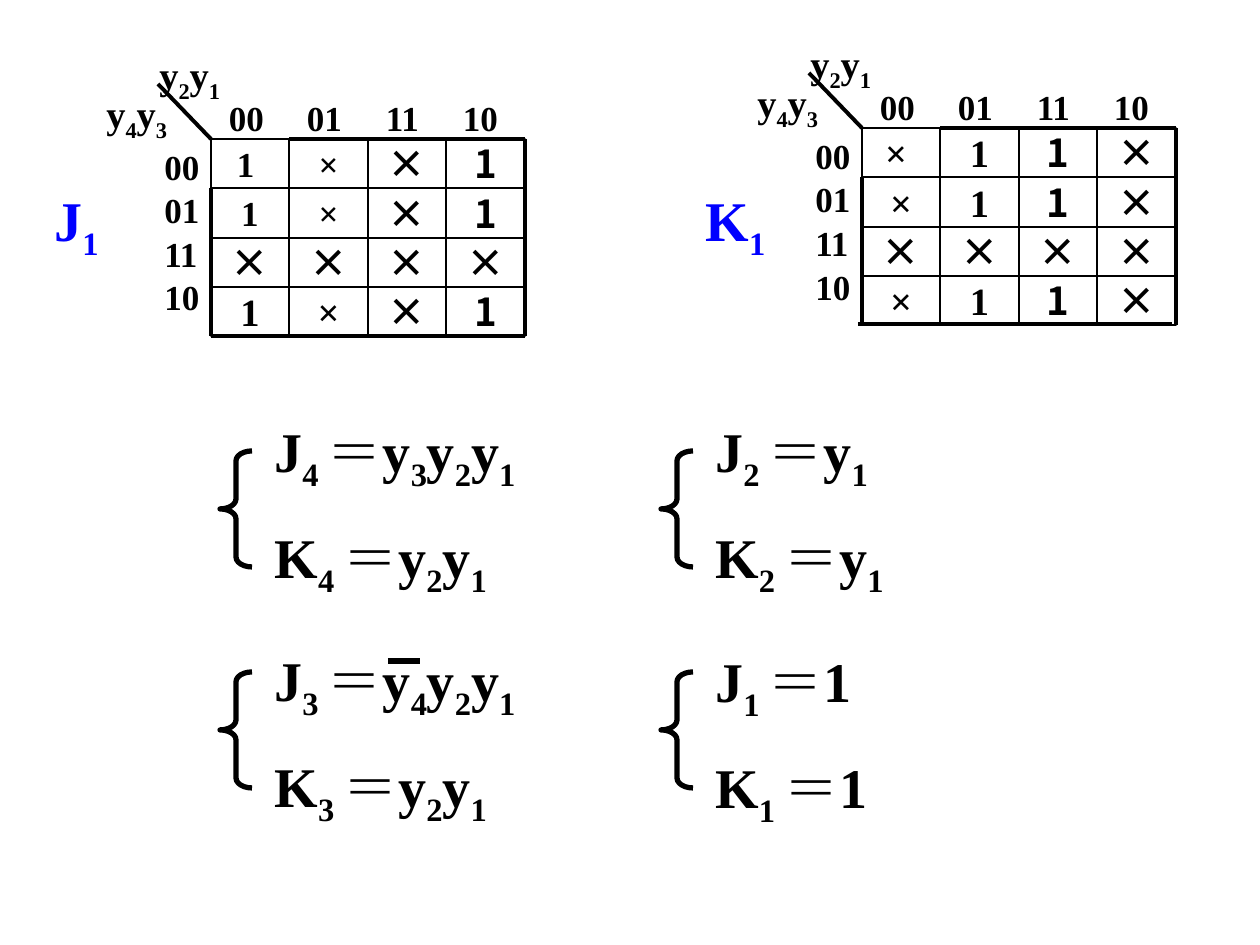
from lxml.etree import SubElement
from pptx import Presentation
from pptx.dml.color import RGBColor
from pptx.enum.shapes import MSO_CONNECTOR, MSO_SHAPE
from pptx.enum.text import MSO_ANCHOR, PP_ALIGN
from pptx.oxml.ns import qn
from pptx.util import Emu, Pt

PX = 914400 / 126
COLORS = {"ink": "000000", "label": "0000FF"}
SERIF, CJK = "Times New Roman", "Noto Sans CJK SC"
XS = [0, 78, 157, 235, 314]
YS = [0, 49, 99, 148, 197]
CODES = ["00", "01", "11", "10"]


def px(n):
    return Emu(round(n * PX))


def color(name):
    return RGBColor.from_string(COLORS[name])


def style_run(r, size, name="ink", font=SERIF):
    r.font.size = Pt(size)
    r.font.bold = True
    r.font.name = font
    r.font.color.rgb = color(name)
    SubElement(r._r.get_or_add_rPr(), qn("a:ea")).set("typeface", font)


def add_text(s, x, y, w, h):
    tf = s.shapes.add_textbox(px(x), px(y), px(w), px(h)).text_frame
    tf.word_wrap = True
    return tf


def add_run(p, text, size, name, subscript=False):
    if text:
        r = p.add_run()
        r.text = text
        style_run(r, size, name)
        if subscript:
            r._r.get_or_add_rPr().set("baseline", "-25000")


def add_formulas(s, x, y, w, h, formulas, size, name="ink"):
    tf = add_text(s, x, y, w, h)
    for i, formula in enumerate(formulas):
        p = tf.add_paragraph() if i else tf.paragraphs[0]
        if i:
            p.space_before = Pt(17)
        first, *rest = formula.split("_")
        add_run(p, first, size, name)
        for part in rest:
            n = 2 if part[1:2] == " " else 1
            add_run(p, part[:n], size, name, subscript=True)
            add_run(p, part[n:], size, name)


def add_line(s, x1, y1, x2, y2, width):
    c = s.shapes.add_connector(MSO_CONNECTOR.STRAIGHT, px(x1), px(y1), px(x2), px(y2))
    c.line.color.rgb = color("ink")
    c.line.width = Pt(width)
    SubElement(c._element.spPr, qn("a:effectLst"))


def add_outline(s, kind, x, y, w, h, width):
    sp = s.shapes.add_shape(kind, px(x), px(y), px(w), px(h))
    sp.shadow.inherit = False
    sp.fill.background()
    sp.line.color.rgb = color("ink")
    sp.line.width = Pt(width)
    return sp


def add_cell(s, x, y, w, h, text, size, font):
    tf = add_outline(s, MSO_SHAPE.RECTANGLE, x, y, w, h, 1).text_frame
    tf.word_wrap = True
    tf.vertical_anchor = MSO_ANCHOR.MIDDLE
    p = tf.paragraphs[0]
    p.text = text
    p.alignment = PP_ALIGN.CENTER
    style_run(p.runs[0], size, font=font)


def add_column_codes(s, x, y):
    p = add_text(s, x - 12, y - 49, 336, 54).paragraphs[0]
    p.text = "".join("\t" + code for code in CODES)
    tabs = SubElement(p._p.get_or_add_pPr(), qn("a:tabLst"))
    for i in range(len(CODES)):
        tab = SubElement(tabs, qn("a:tab"))
        tab.set("pos", str(px(35 + 78 * i)))
        tab.set("algn", "ctr")
    style_run(p.runs[0], 20)


def add_row_codes(s, x, y):
    tf = add_text(s, x - 59, y + 15, 66, 176)
    tf.text = "\n".join(CODES)
    for i, p in enumerate(tf.paragraphs):
        p.line_spacing = 0.6
        if i:
            p.space_before = Pt(10.5)
        style_run(p.runs[0], 20)


def add_map(s, x, y, rows, top_size, foot_shift):
    for i, row in enumerate(rows):
        for j, mark in enumerate(row):
            serif = j < 2 and i != 2
            size = top_size if serif and i < 2 else 22
            text = mark + " " if i == j == 0 else mark
            add_cell(s, x + XS[j], y + YS[i], XS[j + 1] - XS[j], YS[i + 1] - YS[i],
                     text, size, SERIF if serif else CJK)
    right, bottom = XS[-1], YS[-1]
    thin = [(0, 0, XS[1], 0), (0, 0, 0, YS[1])]
    thin += [(0, YS[i], right, YS[i]) for i in (1, 3)]
    thin += [(cx, 0, cx, bottom) for cx in XS[1:4]]
    dx, dy = foot_shift
    thick = [(dx, bottom + dy, right + dx, bottom + dy), (right, YS[3], right, bottom),
             (right, 0, right, YS[3]), (0, YS[1], 0, bottom),
             (XS[1], 0, right, 0), (0, 0, -53, -55)]
    for lines, width in ((thin, 1), (thick, 2.25)):
        for x1, y1, x2, y2 in lines:
            add_line(s, x + x1, y + y1, x + x2, y + y2, width)
    add_column_codes(s, x, y)
    add_row_codes(s, x, y)
    add_formulas(s, x - 117, y - 55, 147, 59, ["y_4y_3"], 22)
    add_formulas(s, x - 64, y - 94, 126, 59, ["y_2y_1"], 22)


def main():
    prs = Presentation()
    prs.slide_width, prs.slide_height = px(1260), px(945)
    s = prs.slides.add_slide(prs.slide_layouts[6])

    add_map(s, 211, 139, ["1××1", "1××1", "××××", "1××1"], 20, (0, 0))
    add_map(s, 862, 128, ["×11×", "×11×", "××××", "×11×"], 22, (-4, -1))
    add_formulas(s, 42, 179, 84, 79, ["J_1"], 32, "label")
    add_formulas(s, 693, 179, 105, 79, ["K_1"], 32, "label")

    equations = [
        (262, 410, 336, ["J_4 ＝y_3y_2y_1", "K_4 ＝y_2y_1"]),
        (262, 639, 336, ["J_3 ＝y_4y_2y_1", "K_3 ＝y_2y_1"]),
        (703, 410, 253, ["J_2 ＝y_1", "K_2 ＝y_1"]),
        (703, 640, 224, ["J_1 ＝1", "K_1 ＝1"]),
    ]
    for x, y, w, formulas in equations:
        add_formulas(s, x, y, w, 180, formulas, 32)
    add_line(s, 388, 661, 420, 661, 3)

    for x in (220, 661):
        for y in (451, 672):
            brace = add_outline(s, MSO_SHAPE.LEFT_BRACE, x, y, 32, 116, 3)
            brace.adjustments[0] = 0.31

    prs.save("out.pptx")


if __name__ == "__main__":
    main()
